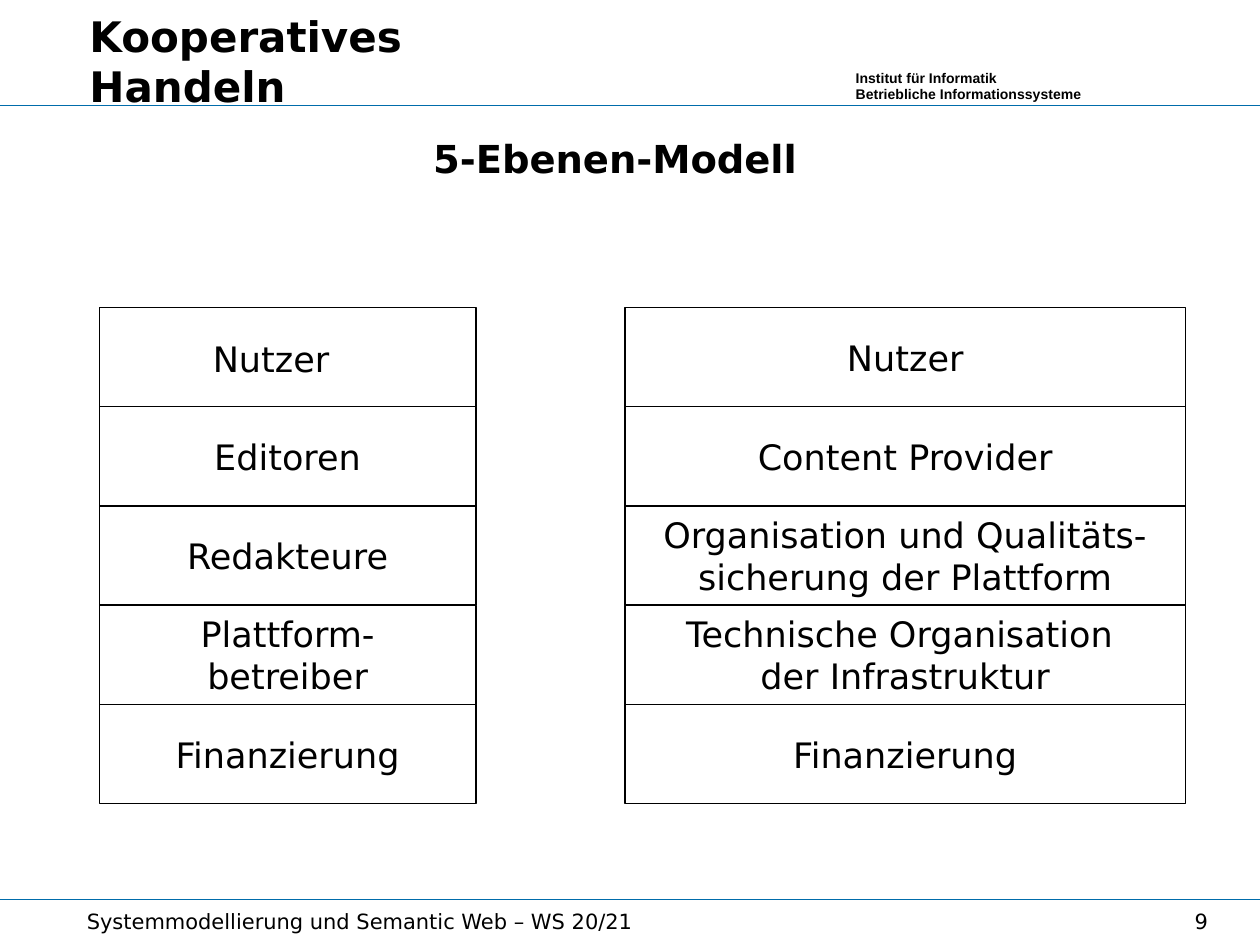
from pptx import Presentation
from pptx import util as u
from pptx.dml.color import RGBColor
from pptx.enum import shapes, text
from pptx.oxml.ns import qn
from lxml import etree

LEFT, CENTER, RIGHT = text.PP_ALIGN.LEFT, text.PP_ALIGN.CENTER, text.PP_ALIGN.RIGHT
TOP, MIDDLE = text.MSO_ANCHOR.TOP, text.MSO_ANCHOR.MIDDLE


def rgb(value):
    return RGBColor.from_string(value)


def write(shape, words, size=20, bold=False, font="DejaVu Sans", align=LEFT,
          anchor=TOP, before=0, after=0):
    frame = shape.text_frame
    frame.word_wrap = True
    frame.auto_size = text.MSO_AUTO_SIZE.NONE
    frame.vertical_anchor = anchor
    paragraph = frame.paragraphs[0]
    paragraph.text = words
    paragraph.alignment = align
    paragraph.space_before, paragraph.space_after = u.Pt(before), u.Pt(after)
    for run in paragraph.runs:
        run.font.name, run.font.size, run.font.bold = font, u.Pt(size), bold
        run.font.color.rgb = rgb("000000")


presentation = Presentation()
presentation.slide_width, presentation.slide_height = u.Cm(25.4), u.Cm(19.05)
slide = presentation.slides.add_slide(presentation.slide_layouts[5])

# Header and footer rules
for y in (18.13, 2.13):
    rule = slide.shapes.add_connector(
        shapes.MSO_CONNECTOR.STRAIGHT, u.Cm(0), u.Cm(y), u.Cm(25.4), u.Cm(y))
    rule.line.color.rgb = rgb("006CAB")
    rule.line.width = u.Pt(0.5)
    etree.SubElement(rule._element.spPr, qn("a:effectLst"))

title = slide.shapes.title
title.left, title.top, title.width, title.height = u.Cm(1.55), u.Cm(0.08), u.Cm(9.86), u.Cm(1.27)
write(title, "Kooperatives Handeln", size=24, bold=True)

# Two stacks of five levels: roles on the left, their tasks on the right
ROW_HEIGHT = 2
stacks = [
    (2, 7.6, ["", "Editoren", "Redakteure", "Plattform-\nbetreiber", "Finanzierung"]),
    (12.6, 11.3, ["Nutzer", "Content Provider",
                  "Organisation und Qualitäts-sicherung der Plattform",
                  "Technische Organisation \nder Infrastruktur", "Finanzierung"]),
]
for left, width, levels in stacks:
    for row, level in enumerate(levels):
        box = slide.shapes.add_shape(
            shapes.MSO_SHAPE.RECTANGLE, u.Cm(left), u.Cm(6.2 + row * ROW_HEIGHT),
            u.Cm(width), u.Cm(ROW_HEIGHT))
        box.shadow.inherit = False
        box.fill.background()
        box.line.color.rgb = rgb("000000")
        box.line.width = u.Pt(0)
        if level:
            write(box, level, align=CENTER, anchor=MIDDLE)

# Free-standing texts: left, top, width, height, words, format
labels = [
    (17, 1.27, 6.68, 0.94, "Institut für Informatik\nBetriebliche Informationssysteme",
     dict(size=8, bold=True, font="Arial", before=5)),
    (0.4, 2.6, 24, 1.2, "5-Ebenen-Modell",
     dict(size=22, bold=True, align=CENTER, after=5.7)),
    (4.04, 6.6, 3.33, 1.27, "Nutzer", dict(anchor=MIDDLE)),
    (1.5, 18.2, 14.17, 0.84, "Systemmodellierung und Semantic Web – WS 20/21", dict(size=12)),
    (22.7, 18.2, 1.9, 0.84, "9", dict(size=12, align=RIGHT)),
]
for left, top, width, height, words, style in labels:
    label = slide.shapes.add_textbox(u.Cm(left), u.Cm(top), u.Cm(width), u.Cm(height))
    write(label, words, **style)

presentation.save("out.pptx")
